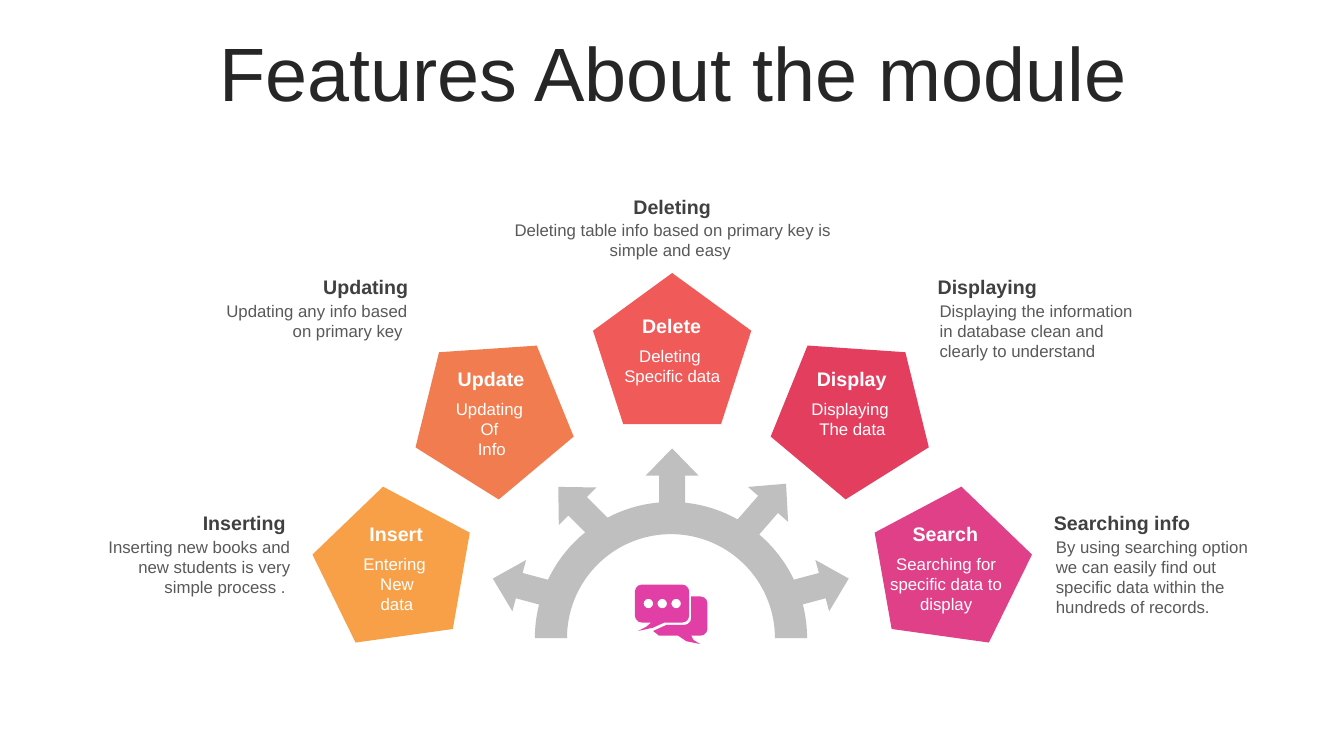
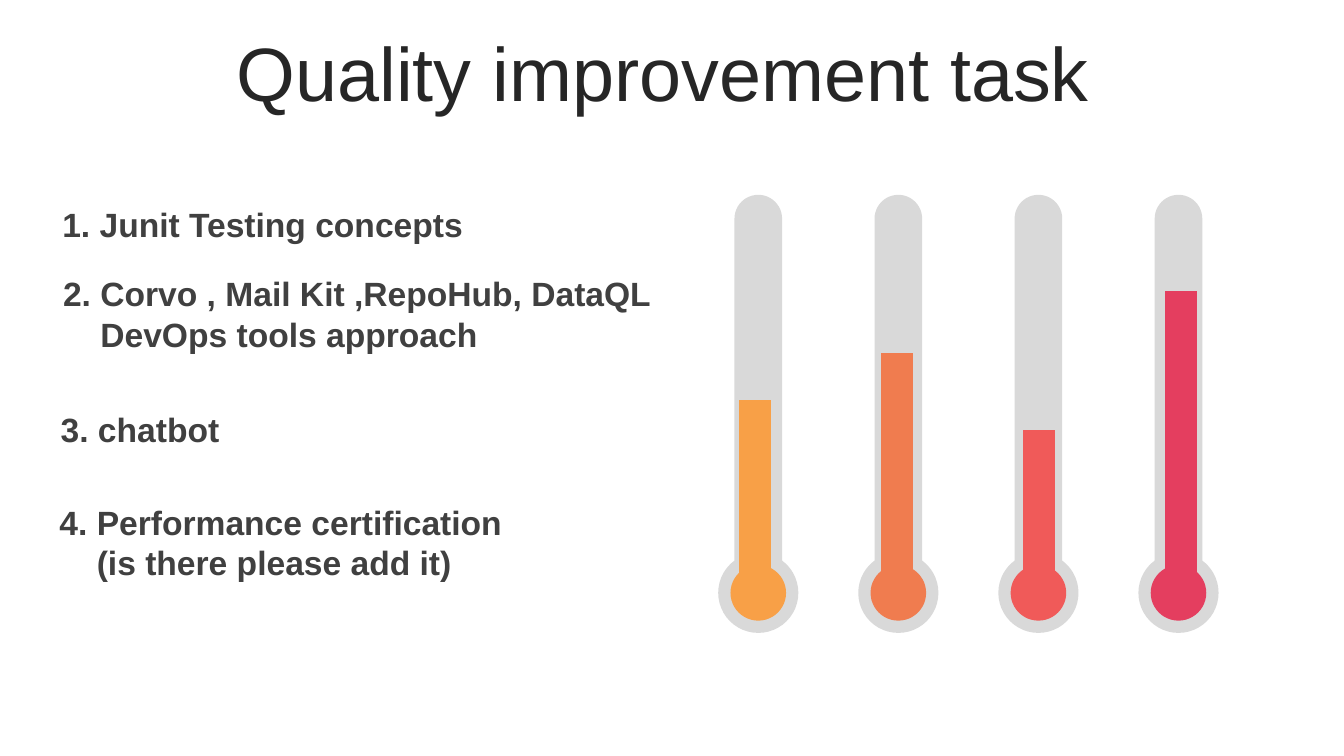
from math import acos, atan2, cos, degrees, radians, sin, sqrt

from lxml import etree
from pptx import Presentation
from pptx.chart.data import CategoryChartData
from pptx.dml.color import RGBColor
from pptx.enum.chart import XL_CHART_TYPE as ChartType
from pptx.enum.shapes import MSO_SHAPE as Shape
from pptx.enum.text import MSO_ANCHOR as Anchor, PP_ALIGN as Align
from pptx.oxml.ns import qn
from pptx.util import Cm, Pt

COLORS = {
    "title": "262626", "heading": "404040", "body": "595959", "white": "FFFFFF",
    "ring": "BFBFBF", "tube": "D9D9D9", "chat": "E23FA6",
    "amber": "F8A047", "orange": "F07C4F", "coral": "F05A59",
    "red": "E43E5F", "pink": "E04088",
}
FONT = "Arial"


def add_text(slide, text, left, top, width, height, size=12, color="body", bold=False,
             align=Align.LEFT, anchor=Anchor.TOP, line_spacing=None, space_before=None,
             hanging=0):
    """Add a text box; each line is a paragraph, indented by hanging after the first."""
    frame = slide.shapes.add_textbox(Cm(left), Cm(top), Cm(width), Cm(height)).text_frame
    frame.word_wrap = True
    frame.vertical_anchor = anchor
    for index, line in enumerate(text.split("\n")):
        paragraph = frame.add_paragraph() if index else frame.paragraphs[0]
        paragraph.alignment = align
        paragraph.line_spacing = line_spacing
        paragraph.space_before = space_before
        if index and hanging:
            paragraph._p.get_or_add_pPr().set("marL", str(Cm(hanging)))
        run = paragraph.add_run()
        run.text = line
        run.font.name = FONT
        run.font.size = Pt(size)
        run.font.bold = bold
        run.font.color.rgb = RGBColor.from_string(COLORS[color])


def add_figure(slide, left, top, width, height, color, kind=None, rotation=0, loops=()):
    """Add a filled preset of the given kind, or else an outline of closed loops.

    A loop starts with a point and goes on with points (x, y), measured from the
    left top corner, and arcs (radius, start angle, sweep) in degrees.
    """
    left, top, width, height = Cm(left), Cm(top), Cm(width), Cm(height)
    if kind is not None:
        shape = slide.shapes.add_shape(kind, left, top, width, height)
    else:
        builder = slide.shapes.build_freeform(left, top)
        builder.add_line_segments([(left + width, top), (left + width, top + height),
                                   (left, top + height)])
        shape = builder.convert_to_shape()
        outline = shape._element.find(".//" + qn("a:path"))
        for child in list(outline):
            outline.remove(child)
        for loop in loops:
            for index, part in enumerate(loop):
                if len(part) == 3:
                    radius, start, sweep = part
                    arc = etree.SubElement(outline, qn("a:arcTo"))
                    for name, value in [("wR", Cm(radius)), ("hR", Cm(radius)),
                                        ("stAng", round(start % 360 * 60000)),
                                        ("swAng", round(sweep * 60000))]:
                        arc.set(name, str(value))
                else:
                    step = etree.SubElement(outline, qn("a:lnTo" if index else "a:moveTo"))
                    point = etree.SubElement(step, qn("a:pt"))
                    point.set("x", str(Cm(part[0])))
                    point.set("y", str(Cm(part[1])))
            etree.SubElement(outline, qn("a:close"))
    shape.shadow.inherit = False
    shape.fill.solid()
    shape.fill.fore_color.rgb = RGBColor.from_string(COLORS[color])
    shape.line.fill.background()
    shape.rotation = rotation


presentation = Presentation()
presentation.slide_width, presentation.slide_height = Cm(33.87), Cm(19.05)
slides = []
for title in ("Features About the module", "Quality improvement task "):
    slide = presentation.slides.add_slide(presentation.slide_layouts[6])
    add_text(slide, title, 0.89, 0.94, 32.16, 2.01, size=54, color="title",
             align=Align.CENTER, anchor=Anchor.MIDDLE, line_spacing=0.9, space_before=Pt(10))
    slides.append(slide)
features_slide, quality_slide = slides

# Features: half ring with five arrows in one outline
RING_X, RING_Y, OUTER, INNER = 4.49, 4.78, 3.43, 2.62
HEAD_LENGTH, HEAD_HALF, SHAFT_HALF = 0.69, 0.67, 0.33
ring = [(RING_X - OUTER, RING_Y)]
last_angle = 180
for tip_x, tip_y, turn in [(0, 3.28, -75), (1.65, 0.97, -45), (4.52, 0, 0),
                           (7.39, 0.89, 41), (8.97, 3.28, 75)]:
    ahead_x, ahead_y = sin(radians(turn)), -cos(radians(turn))
    neck_x, neck_y = tip_x - ahead_x * HEAD_LENGTH, tip_y - ahead_y * HEAD_LENGTH
    necks, wings, bases = [], [], []
    for side in (-1, 1):
        wings.append((neck_x - side * HEAD_HALF * ahead_y, neck_y + side * HEAD_HALF * ahead_x))
        x, y = neck_x - side * SHAFT_HALF * ahead_y, neck_y + side * SHAFT_HALF * ahead_x
        necks.append((x, y))
        along = (x - RING_X) * ahead_x + (y - RING_Y) * ahead_y
        across = (x - RING_X) * ahead_y - (y - RING_Y) * ahead_x
        depth = along - sqrt(OUTER ** 2 - across ** 2)
        bases.append((x - ahead_x * depth, y - ahead_y * depth))
    angles = [degrees(atan2(y - RING_Y, x - RING_X)) % 360 for x, y in bases]
    ring += [(OUTER, last_angle, angles[0] - last_angle), necks[0], wings[0],
             (tip_x, tip_y), wings[1], necks[1], bases[1]]
    last_angle = angles[1]
ring += [(OUTER, last_angle, 360 - last_angle), (RING_X + INNER, RING_Y), (INNER, 0, -180)]
add_figure(features_slide, 12.42, 11.3, 8.97, 4.8, "ring", loops=[ring])

# Features: pentagon (offset, top, rotation, colour), label (x, y, lines),
# caption (x, y, width, lines)
MIDDLE = 16.94
PENTAGON_WIDTH, PENTAGON_HEIGHT = 3.99, 3.81
LINE_HEIGHT, INSETS = 0.52, 0.25
features = [
    ((-7.19, 12.4, 280, "amber"), (8.31, 13.03, 3), "Insert", "Entering \nNew\n data ",
     (1.98, 12.75, 5.61, 3), Align.RIGHT, "Inserting ",
     "Inserting new books and new students is very simple process . "),
    ((-4.65, 8.43, 320, "orange"), (10.7, 9.12, 3), "Update", "Updating \nOf \nInfo",
     (4.93, 6.81, 5.61, 2), Align.RIGHT, "Updating",
     "Updating any info based on primary key "),
    ((0, 6.88, 0, "coral"), (15.25, 7.79, 2), "Delete", "Deleting \nSpecific data",
     (12.62, 4.78, 8.64, 2), Align.CENTER, "Deleting",
     "Deleting table info based on primary key is simple and easy "),
    ((4.65, 8.43, 40, "red"), (19.79, 9.12, 2), "Display", "Displaying \nThe data",
     (23.38, 6.81, 5.61, 3), Align.LEFT, "Displaying",
     "Displaying the information in database clean and clearly to understand"),
    ((7.19, 12.4, 80, "pink"), (22.15, 13.03, 3), "Search",
     "Searching for specific data to display",
     (26.31, 12.75, 5.61, 4), Align.LEFT, "Searching info",
     "By using searching option we can easily find out specific data within the "
     "hundreds of records."),
]
for pentagon, label, name, detail, caption, align, heading, description in features:
    offset, top, rotation, color = pentagon
    add_figure(features_slide, MIDDLE + offset - PENTAGON_WIDTH / 2, top, PENTAGON_WIDTH,
               PENTAGON_HEIGHT, color, Shape.REGULAR_PENTAGON, rotation)
    left, top, lines = label
    add_text(features_slide, name, left, top, 3.35, 0.86, size=14, color="white", bold=True,
             align=Align.CENTER)
    add_text(features_slide, detail, left + 0.02, top + 0.8, 3.35,
             INSETS + lines * LINE_HEIGHT, color="white", align=Align.CENTER)
    left, top, width, lines = caption
    add_text(features_slide, heading, left, top, width, 0.86, size=14, color="heading",
             bold=True, align=align)
    add_text(features_slide, description, left + 0.05, top + 0.64, width - 0.07,
             INSETS + lines * LINE_HEIGHT, align=align)

# Features: chat bubbles in one outline
CORNER, DOT = 0.18, 0.12
front_bubble = [(0.18, 0), (1.19, 0), (CORNER, 270, 90), (1.37, 0.78), (CORNER, 0, 90),
                (0.74, 0.96), (0.45, 1.09), (0.08, 1.17), (0.28, 1.07), (0.41, 0.96),
                (0.18, 0.96), (CORNER, 90, 90), (0, 0.18), (CORNER, 180, 90)]
back_bubble = [(1.42, 0.3), (1.65, 0.3), (CORNER, 270, 90), (1.83, 1.11), (CORNER, 0, 90),
               (1.42, 1.29), (1.48, 1.4), (1.65, 1.5), (1.3, 1.43), (1.09, 1.29),
               (0.61, 1.29), (0.46, 1.17), (0.79, 1.02), (1.24, 1.02), (CORNER, 90, -90)]
dots = [[(x - DOT, 0.48), (DOT, 180, 180), (DOT, 0, 180)] for x in (0.34, 0.69, 1.04)]
add_figure(features_slide, 16, 14.73, 1.83, 1.5, "chat",
           loops=[front_bubble, back_bubble, *dots])

# Quality: thermometers
TUBE_RADIUS, BULB_RADIUS, BULB_SIZE = 0.6, 1.01, 1.4
TUBE_TOP, TUBE_HEIGHT = 4.91, 11.04
bulb_y = TUBE_HEIGHT - BULB_RADIUS
neck_y = bulb_y - sqrt(BULB_RADIUS ** 2 - TUBE_RADIUS ** 2)
neck_angle = degrees(acos(TUBE_RADIUS / BULB_RADIUS))
tube = [(BULB_RADIUS - TUBE_RADIUS, TUBE_RADIUS), (TUBE_RADIUS, 180, 180),
        (BULB_RADIUS + TUBE_RADIUS, neck_y),
        (BULB_RADIUS, -neck_angle, 180 + 2 * neck_angle)]
levels = [(63, "amber"), (79, "orange"), (53, "coral"), (100, "red")]
for index, (level, color) in enumerate(levels):
    x = 19.11 + index * 3.53
    add_figure(quality_slide, x - BULB_RADIUS, TUBE_TOP, 2 * BULB_RADIUS, TUBE_HEIGHT, "tube",
               loops=[tube])
    add_figure(quality_slide, x - BULB_SIZE / 2, TUBE_TOP + bulb_y - BULB_SIZE / 2,
               BULB_SIZE, BULB_SIZE, color, Shape.OVAL)

# Quality: chart that fills the thermometers
chart_data = CategoryChartData()
chart_data.categories = [str(number) for number in range(1, len(levels) + 1)]
chart_data.add_series("Series 1", [level for level, color in levels])
chart = quality_slide.shapes.add_chart(ChartType.COLUMN_CLUSTERED, Cm(16.93), Cm(6.75),
                                       Cm(14.93), Cm(8.19), chart_data).chart
chart.has_legend = False
chart.has_title = False
chart.font.name = FONT
chart.font.size = Pt(10)
chart.font.color.rgb = RGBColor(0, 0, 0)
chart.value_axis.minimum_scale, chart.value_axis.maximum_scale = 0, 100
chart.value_axis.has_major_gridlines = False
chart.value_axis.visible = False
chart.category_axis.visible = False
plot = chart.plots[0]
plot.gap_width = 350
plot.vary_by_categories = False
for index, (level, color) in enumerate(levels):
    fill = plot.series[0].points[index].format.fill
    fill.solid()
    fill.fore_color.rgb = RGBColor.from_string(COLORS[color])

plot_area = chart._chartSpace.find(".//" + qn("c:plotArea"))
for layout in plot_area.findall(qn("c:layout")):
    plot_area.remove(layout)
layout = etree.Element(qn("c:layout"))
plot_area.insert(0, layout)
manual = etree.SubElement(layout, qn("c:manualLayout"))
for tag, value in [("layoutTarget", "inner"), ("xMode", "edge"), ("yMode", "edge"),
                   ("x", "0.02"), ("y", "0.07"), ("w", "0.96"), ("h", "0.91")]:
    etree.SubElement(manual, qn("c:" + tag)).set("val", value)

# Quality: tasks
tasks = [
    (1.32, 5.02, 19.58, 2.31, "1. Junit Testing concepts"),
    (1.34, 6.76, 20.35, 2.31, "2. Corvo , Mail Kit ,RepoHub, DataQL\nDevOps tools approach"),
    (1.28, 10.19, 19.58, 1.27, "3. chatbot"),
    (1.25, 12.52, 19.58, 4.37, "4. Performance certification\n(is there please add it)"),
]
for left, top, width, height, task in tasks:
    add_text(quality_slide, task, left, top, width, height, size=24, color="heading",
             bold=True, hanging=0.94)

presentation.save("out.pptx")
